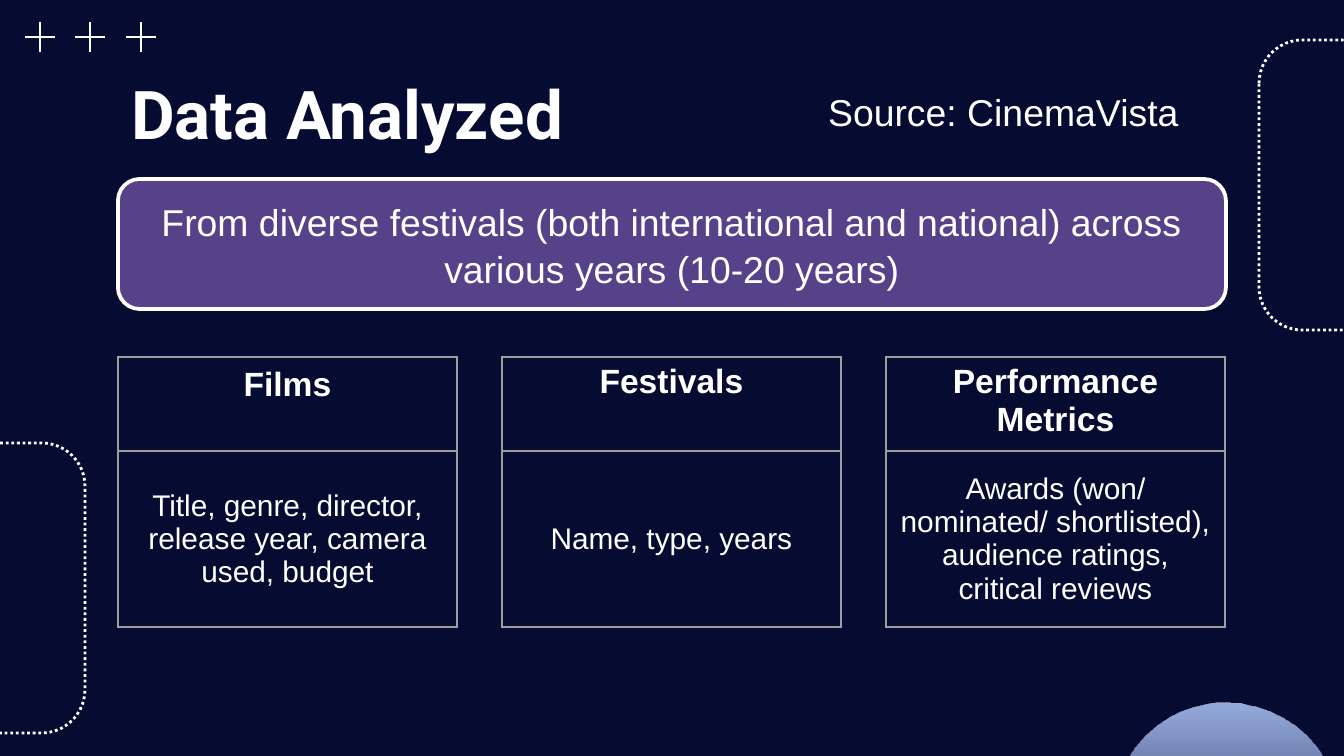
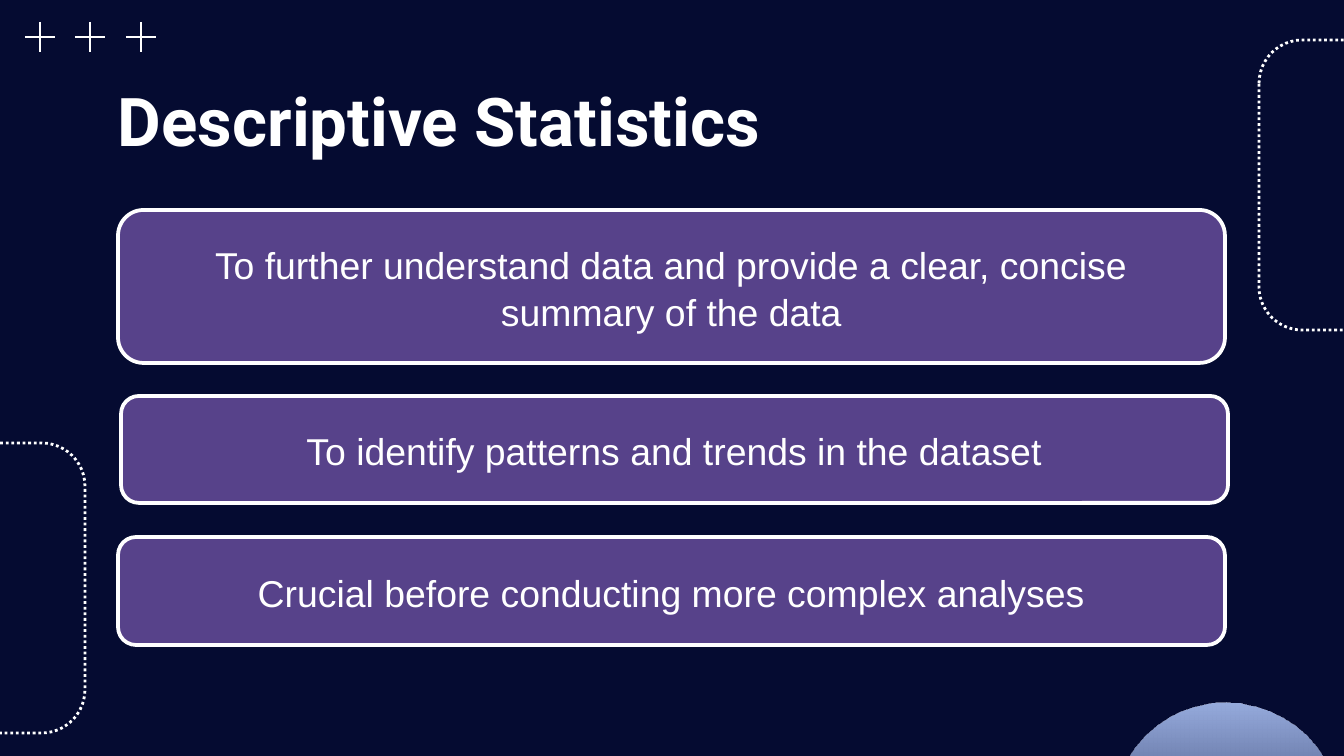
import lxml.etree
import pptx
import pptx.dml.color
import pptx.enum.dml
import pptx.enum.shapes
import pptx.enum.text
import pptx.oxml
import pptx.oxml.ns
import pptx.util

EMU_PER_PX = 914400 / 134.4
SLIDE_WIDTH, SLIDE_HEIGHT = 1344, 756
NAVY, PURPLE, PERIWINKLE = "050B31", "57428A", "97ACDE"
WHITE, GREY = "FFFFFF", "9E9E9E"
BODY_FONT, TITLE_FONT = "Arial", "Roboto"
SHAPES = pptx.enum.shapes.MSO_SHAPE
ALIGN = pptx.enum.text.PP_ALIGN
ANCHOR = pptx.enum.text.MSO_ANCHOR


def px(length):
    """Convert whole pixels to EMU."""
    return pptx.util.Emu(round(length * EMU_PER_PX))


def place(box):
    """Convert a left, top, width, height box to EMU."""
    return [px(length) for length in box]


def color(value):
    """Return a colour from its hex string."""
    return pptx.dml.color.RGBColor.from_string(value)


def write(frame, text, size, bold=False, font=BODY_FONT, align=ALIGN.CENTER):
    """Fill a text frame with one formatted paragraph."""
    frame.word_wrap = True
    frame.text = text
    paragraph = frame.paragraphs[0]
    paragraph.alignment = align
    for run in paragraph.runs:
        run.font.name = font
        run.font.size = pptx.util.Pt(size)
        run.font.bold = bold
        run.font.color.rgb = color(WHITE)
    return paragraph


def add_rounded(slide, box, line_width, fill=None):
    """Add a white-edged rounded rectangle."""
    shape = slide.shapes.add_shape(SHAPES.ROUNDED_RECTANGLE, *place(box))
    shape.shadow.inherit = False
    if fill:
        shape.fill.solid()
        shape.fill.fore_color.rgb = color(fill)
    else:
        shape.fill.background()
    shape.line.color.rgb = color(WHITE)
    shape.line.width = pptx.util.Pt(line_width)
    return shape


def add_dotted_frame(slide, box):
    """Add a dotted outline that runs over the slide edge."""
    shape = add_rounded(slide, box, 1.5)
    shape.adjustments[0] = 0.21
    shape.line.dash_style = pptx.enum.dml.MSO_LINE.ROUND_DOT


def add_fading_circle(slide, box):
    """Add a circle that fades out towards its bottom."""
    circle = slide.shapes.add_shape(SHAPES.OVAL, *place(box))
    circle.shadow.inherit = False
    circle.line.fill.background()
    circle.fill.gradient()
    circle.fill.gradient_angle = 270
    for stop in circle.fill.gradient_stops:
        stop.color.rgb = color(PERIWINKLE)
    tag = pptx.oxml.ns.qn("a:srgbClr")
    last_color = list(circle.fill._fill._gradFill.iter(tag))[-1]
    lxml.etree.SubElement(last_color, pptx.oxml.ns.qn("a:alpha"), val="0")


def add_plus(slide, center_x, center_y, arm=15):
    """Add a plus sign made of two thin lines."""
    for dx, dy in ((0, arm), (arm, 0)):
        ends = (center_x - dx, center_y - dy, center_x + dx, center_y + dy)
        line = slide.shapes.add_connector(
            pptx.enum.shapes.MSO_CONNECTOR.STRAIGHT, *place(ends))
        line.line.color.rgb = color(WHITE)
        line.line.width = pptx.util.Pt(0.75)
        lxml.etree.SubElement(line._element.spPr, pptx.oxml.ns.qn("a:effectLst"))


def add_decorated_slide(presentation, title, title_box, inset):
    """Add a slide with the shared decoration and a title."""
    slide = presentation.slides.add_slide(presentation.slide_layouts[5])
    add_dotted_frame(slide, (-121, 443, 206, 290))
    add_fading_circle(slide, (1113, 703, 227, 227))
    add_dotted_frame(slide, (1259, 40, 206, 290))
    for index in range(3):
        add_plus(slide, 40 + index * 101 // 2, 37)
    shape = slide.shapes.title
    shape.left, shape.top, shape.width, shape.height = place(title_box)
    frame = shape.text_frame
    frame.auto_size = pptx.enum.text.MSO_AUTO_SIZE.NONE
    frame.vertical_anchor = ANCHOR.TOP
    frame.margin_left = frame.margin_right = px(13)
    frame.margin_top = frame.margin_bottom = px(inset)
    write(frame, title, 36, True, TITLE_FONT, ALIGN.LEFT)
    return slide


def add_banner(slide, box, text):
    """Add a purple statement box."""
    banner = add_rounded(slide, box, 2, PURPLE)
    banner.text_frame.vertical_anchor = ANCHOR.MIDDLE
    write(banner.text_frame, text, 20).line_spacing = 1.05


def outline_cell(cell):
    """Leave a cell unfilled with a thin grey border."""
    cell.fill.background()
    properties = cell._tc.get_or_add_tcPr()
    for index, side in enumerate(("lnL", "lnR", "lnT", "lnB")):
        border = pptx.oxml.parse_xml(
            f'<a:{side} {pptx.oxml.ns.nsdecls("a")} w="9525"><a:solidFill>'
            f'<a:srgbClr val="{GREY}"/></a:solidFill></a:{side}>')
        properties.insert(index, border)


def add_data_card(slide, box, heading, details, heading_inset):
    """Add a two-row table with a heading over its details."""
    table = slide.shapes.add_table(2, 1, *place(box)).table
    header_height = 94
    table.rows[0].height = px(header_height)
    table.rows[1].height = px(box[3] - header_height)
    header, body = table.cell(0, 0), table.cell(1, 0)
    for cell in (header, body):
        outline_cell(cell)
    header.margin_top = px(heading_inset)
    header.vertical_anchor = ANCHOR.TOP
    body.vertical_anchor = ANCHOR.MIDDLE
    write(header.text_frame, heading, 18, True)
    write(body.text_frame, details, 16)


def build_data_slide(presentation):
    """Build the slide on the data and its source."""
    slide = add_decorated_slide(
        presentation, "Data Analyzed", (118, 65, 591, 95), 7)
    source = slide.shapes.add_textbox(*place((802, 83, 403, 59)))
    write(source.text_frame, "Source: CinemaVista", 20)
    add_banner(slide, (118, 179, 1108, 130),
               "From diverse festivals (both international and national) "
               "across various years (10-20 years)")
    cards = (
        ("Films", "Title, genre, director, release year, camera used, budget", 9),
        ("Festivals", "Name, type, years", 6),
        ("Performance Metrics",
         "Awards (won/ nominated/ shortlisted), audience ratings, "
         "critical reviews", 6),
    )
    for index, card in enumerate(cards):
        add_data_card(slide, (118 + 384 * index, 357, 339, 270), *card)


def build_statistics_slide(presentation):
    """Build the slide on the purpose of descriptive statistics."""
    slide = add_decorated_slide(
        presentation, "Descriptive Statistics", (105, 66, 1134, 110), 13)
    banners = (
        (118, 210, 153, "To further understand data and provide a clear, "
                        "concise summary of the data"),
        (121, 396, 107, "To identify patterns and trends in the dataset"),
        (118, 537, 108, "Crucial before conducting more complex analyses"),
    )
    for left, top, height, text in banners:
        add_banner(slide, (left, top, 1107, height), text)


def main():
    """Build and save the presentation."""
    presentation = pptx.Presentation()
    presentation.slide_width = px(SLIDE_WIDTH)
    presentation.slide_height = px(SLIDE_HEIGHT)
    background = presentation.slide_master.background.fill
    background.solid()
    background.fore_color.rgb = color(NAVY)
    build_data_slide(presentation)
    build_statistics_slide(presentation)
    presentation.save("out.pptx")


if __name__ == "__main__":
    main()
